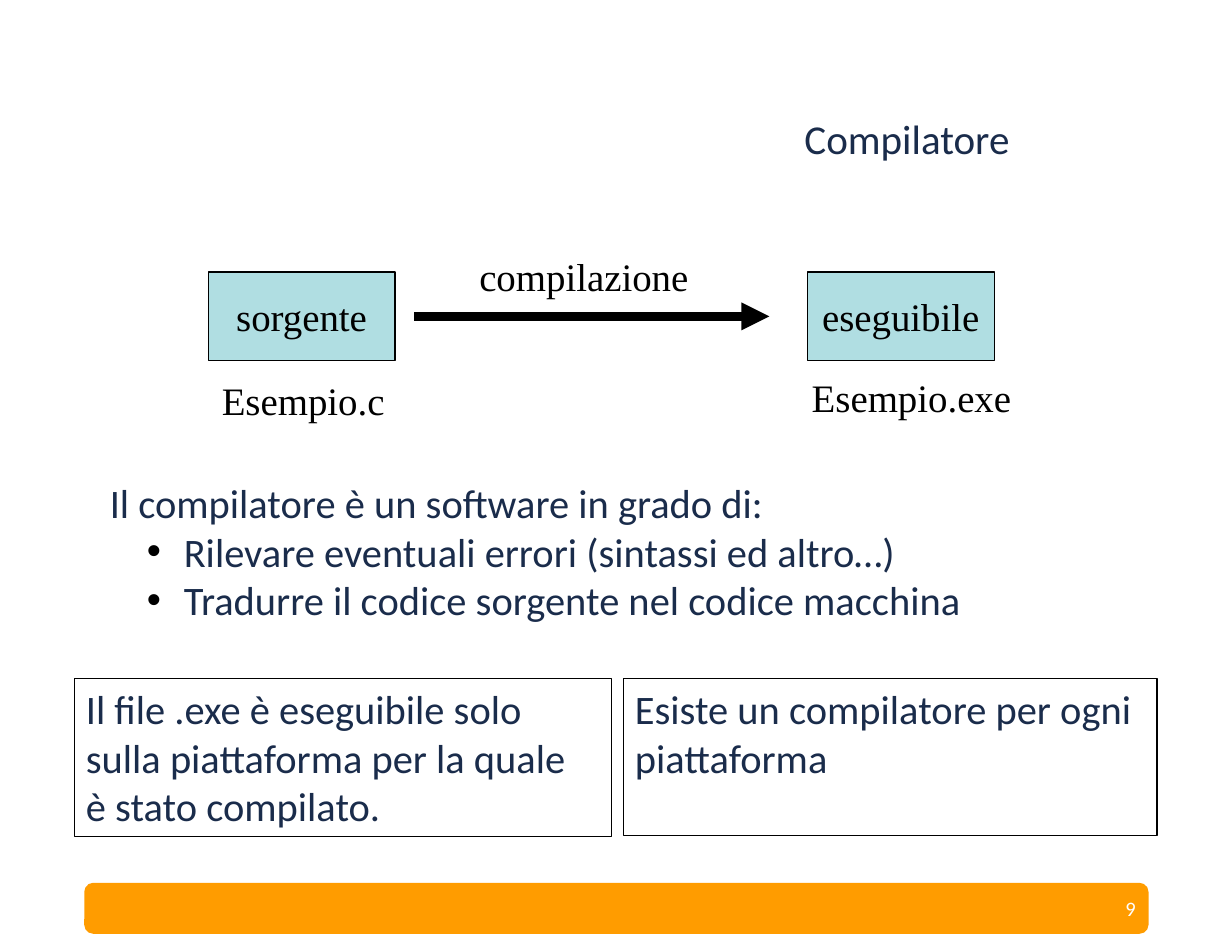
from lxml.etree import SubElement
from pptx import Presentation
from pptx.dml.color import RGBColor
from pptx.enum.shapes import MSO_CONNECTOR, MSO_SHAPE
from pptx.enum.text import MSO_ANCHOR, PP_ALIGN
from pptx.oxml.ns import qn
from pptx.util import Cm, Pt

THEME = {
    "navy": RGBColor(0x1A, 0x2C, 0x4B), "black": RGBColor(0, 0, 0),
    "white": RGBColor(255, 255, 255), "orange": RGBColor(0xFF, 0x9C, 0),
    "aqua": RGBColor(0x8F, 0xD0, 0xD7),
    "title": ("Calibri", 26.4, "navy"), "body": ("Calibri", 26, "navy"),
    "diagram": ("Times New Roman", 25, "black"),
    "number": ("Calibri", 13.2, "white"),
}

# Content: positions are left, top, width, height in cm
TITLE = "Compilatore"
NUMBER = "9"
STAGES = [("sorgente", 4.72), ("eseguibile", 18.31)]
STAGE_TOP, STAGE_W, STAGE_H = 6.17, 4.24, 2.01
ARROW = (9.4, 17.45)
LABELS = [
    ("Esempio.c", (4.78, 8.41, 4.5, 1.32)),
    ("Esempio.exe", (18.16, 8.36, 5.41, 1.32)),
    ("compilazione", (10.62, 5.61, 5.64, 1.32)),
]
INTRO = "Il compilatore è un software in grado di:"
TASKS = ["Rilevare eventuali errori (sintassi ed altro…)",
         "Tradurre il codice sorgente nel codice macchina"]
NOTES = [
    (["Il file .exe è eseguibile solo", "sulla piattaforma per la quale",
      "è stato compilato."], (1.7, 15.39, 12.17, 3.58)),
    (["Esiste un compilatore per ogni", "piattaforma"],
     (14.15, 15.39, 12.09, 3.56)),
]


def cm(box):
    return [Cm(v) for v in box]


def write(sp, lines, style, align=PP_ALIGN.LEFT, anchor=MSO_ANCHOR.TOP):
    font, size, color = THEME[style]
    tf = sp.text_frame
    tf.word_wrap = True
    tf.vertical_anchor = anchor
    for i, line in enumerate(lines):
        p = tf.paragraphs[0] if i == 0 else tf.add_paragraph()
        p.alignment = align
        r = p.add_run()
        r.text = line
        r.font.name, r.font.size = font, Pt(size)
        r.font.color.rgb = THEME[color]
    return tf


def add_box(s, kind, box, fill=None, line="black", width=0.75):
    sp = s.shapes.add_shape(kind, *cm(box))
    sp.shadow.inherit = False
    if fill:
        sp.fill.solid()
        sp.fill.fore_color.rgb = THEME[fill]
    else:
        sp.fill.background()
    sp.line.color.rgb = THEME[line]
    sp.line.width = Pt(width)
    return sp


def add_bullet(p):
    pPr = p._p.get_or_add_pPr()
    pPr.set("marL", str(Cm(1.68)))
    pPr.set("indent", str(-Cm(0.84)))
    clr = SubElement(pPr, qn("a:buClr"))
    SubElement(clr, qn("a:srgbClr"), val=str(THEME["black"]))
    SubElement(pPr, qn("a:buFont"), typeface="Arial")
    SubElement(pPr, qn("a:buChar"), char="•")


prs = Presentation()
prs.slide_width, prs.slide_height = Cm(27.94), Cm(21.59)
s = prs.slides.add_slide(prs.slide_layouts[5])

# Title
title = s.shapes.title
title.left, title.top, title.width, title.height = cm((15.16, 1.19, 10.82, 4.01))
tf = write(title, [TITLE], "title", PP_ALIGN.CENTER, MSO_ANCHOR.MIDDLE)
tf.paragraphs[0].line_spacing = 0.9

# Footer bar and page number
add_box(s, MSO_SHAPE.ROUNDED_RECTANGLE, (1.93, 20.04, 24.1, 1.12),
        "orange", "orange", 1)
number = s.shapes.add_textbox(*cm((19.74, 20.02, 6.3, 1.14)))
tf = write(number, [NUMBER], "number", PP_ALIGN.RIGHT, MSO_ANCHOR.MIDDLE)
tf.margin_left = tf.margin_right = Cm(0.28)

# Source and executable boxes
for name, left in STAGES:
    sp = add_box(s, MSO_SHAPE.RECTANGLE, (left, STAGE_TOP, STAGE_W, STAGE_H), "aqua")
    color = sp.fill._xPr.find(qn("a:solidFill"))[0]
    SubElement(color, qn("a:alpha"), val="70000")
    write(sp, [name], "diagram", PP_ALIGN.CENTER, MSO_ANCHOR.MIDDLE)

# Compilation arrow
y = Cm(STAGE_TOP + STAGE_H / 2)
arrow = s.shapes.add_connector(MSO_CONNECTOR.STRAIGHT, Cm(ARROW[0]), y, Cm(ARROW[1]), y)
arrow.line.color.rgb = THEME["black"]
arrow.line.width = Pt(6)
SubElement(arrow.line._get_or_add_ln(), qn("a:tailEnd"), type="triangle")
SubElement(arrow._element.spPr, qn("a:effectLst"))

# Diagram labels
for text, box in LABELS:
    write(s.shapes.add_textbox(*cm(box)), [text], "diagram")

# What the compiler does
body = s.shapes.add_textbox(*cm((2.24, 10.72, 24, 3.58)))
tf = write(body, [INTRO, *TASKS], "body")
for p in tf.paragraphs[1:]:
    add_bullet(p)

# Framed notes
for lines, box in NOTES:
    write(add_box(s, MSO_SHAPE.RECTANGLE, box), lines, "body")

prs.save("out.pptx")
